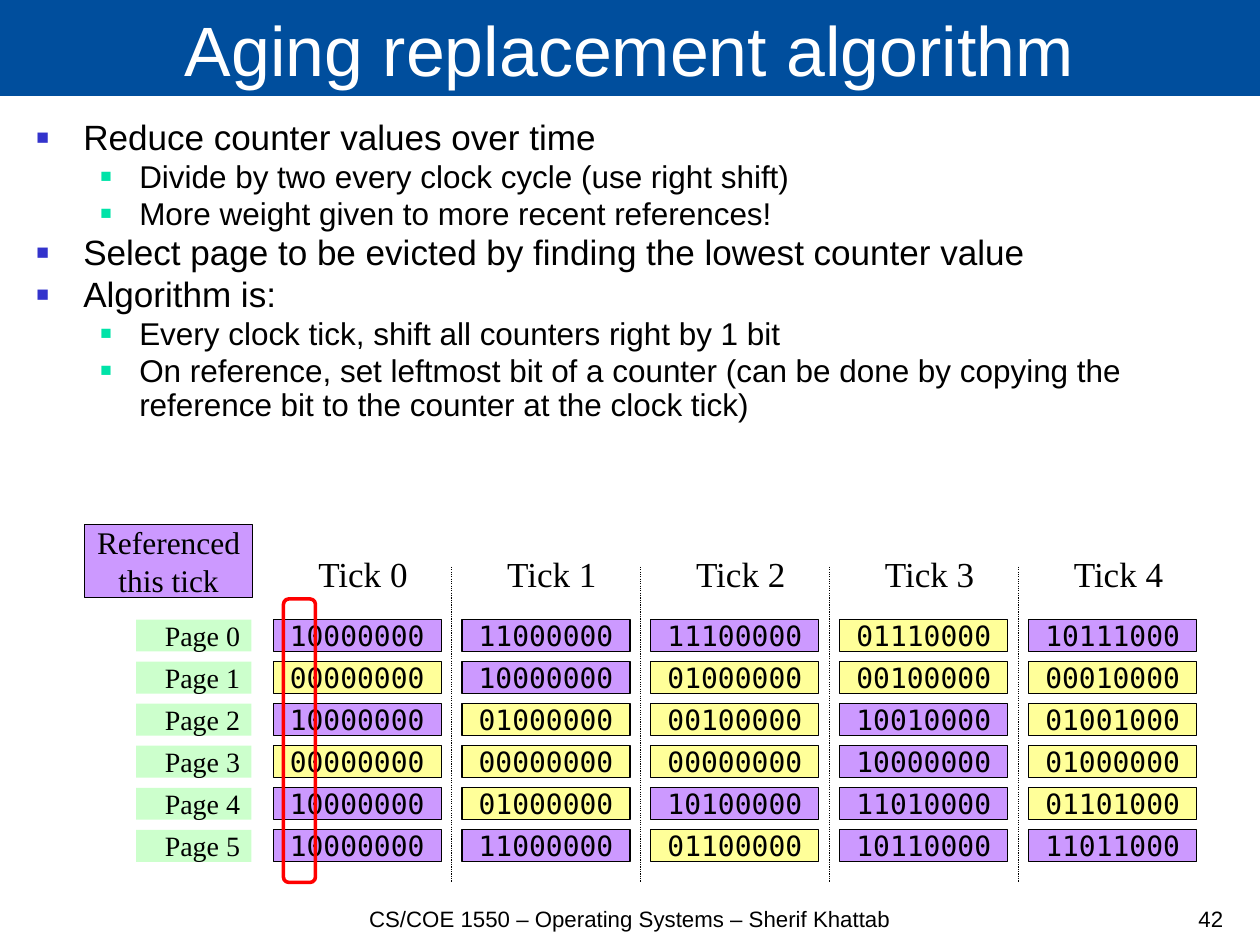
from dataclasses import dataclass

from lxml import etree
from pptx import Presentation
from pptx import util as u
from pptx.dml.color import RGBColor
from pptx.enum import dml, shapes, text
from pptx.oxml import ns
from pptx.shapes import autoshape, shapetree

COLORS = {
    "title_bar": "004E9D",
    "white": "FFFFFF",
    "black": "000000",
    "referenced": "CC99FF",
    "unreferenced": "FFFF99",
    "page": "CCFFCC",
    "marker": "FF0000",
    "bullet": "3333CC",
    "sub_bullet": "00E3A8",
}
SANS, SERIF, MONO = "Arial", "Times New Roman", "DejaVu Sans Mono"
ALIGN, ANCHOR = text.PP_ALIGN, text.MSO_ANCHOR

CM_PER_INCH = 2.54
SLIDE_WIDTH, SLIDE_HEIGHT = 28 / CM_PER_INCH, 21 / CM_PER_INCH
COUNTER_LEFT, COUNTER_WIDTH = 2.39, 1.47
TICK_PITCH = (9 - COUNTER_LEFT) / 4
ROW_TOP, ROW_HEIGHT = 5.42, 0.28
ROW_PITCH = (7.26 - ROW_TOP) / 5


@dataclass(frozen=True)
class Box:
    left: float
    top: float
    width: float
    height: float

    def lengths(self) -> tuple[u.Length, ...]:
        return tuple(u.Inches(n) for n in (self.left, self.top, self.width, self.height))


@dataclass(frozen=True)
class TextStyle:
    font: str
    size: float
    align: ALIGN = ALIGN.CENTER
    anchor: ANCHOR = ANCHOR.MIDDLE
    color: str = "black"
    wrap: bool = False


@dataclass(frozen=True)
class BulletLevel:
    indent: float
    hanging: float
    size: float
    color: str


@dataclass(frozen=True)
class Tick:
    counters: tuple[str, ...]
    referenced: frozenset[int]


TITLE = TextStyle(SANS, 44, anchor=ANCHOR.BOTTOM, color="white", wrap=True)
FOOTER = TextStyle(SANS, 14, anchor=ANCHOR.BOTTOM, wrap=True)
PAGE_NUMBER = TextStyle(SANS, 14, ALIGN.RIGHT, ANCHOR.BOTTOM, wrap=True)
COUNTER = TextStyle(MONO, 17.6)
TICK_LABEL = TextStyle(SERIF, 22.1, anchor=ANCHOR.TOP)
LEGEND = TextStyle(SERIF, 19.8)
PAGE_LABEL = TextStyle(SERIF, 17.6, ALIGN.RIGHT)

LEVELS = (
    BulletLevel(0.41, 0.41, 22.1, "bullet"),
    BulletLevel(0.9, 0.34, 19.8, "sub_bullet"),
)
BULLETS = (
    (0, "Reduce counter values over time"),
    (1, "Divide by two every clock cycle (use right shift)"),
    (1, "More weight given to more recent references!"),
    (0, "Select page to be evicted by finding the lowest counter value"),
    (0, "Algorithm is:"),
    (1, "Every clock tick, shift all counters right by 1 bit"),
    (1, "On reference, set leftmost bit of a counter (can be done by copying the "
        "reference bit to the counter at the clock tick)"),
)
TICKS = (
    Tick(("10000000", "00000000", "10000000", "00000000", "10000000", "10000000"),
         frozenset({0, 2, 4, 5})),
    Tick(("11000000", "10000000", "01000000", "00000000", "01000000", "11000000"),
         frozenset({0, 1, 5})),
    Tick(("11100000", "01000000", "00100000", "00000000", "10100000", "01100000"),
         frozenset({0, 4})),
    Tick(("01110000", "00100000", "10010000", "10000000", "11010000", "10110000"),
         frozenset({2, 3, 4, 5})),
    Tick(("10111000", "00010000", "01001000", "01000000", "01101000", "11011000"),
         frozenset({0, 5})),
)


def rgb(name: str) -> RGBColor:
    return RGBColor.from_string(COLORS[name])


def write(shape: autoshape.Shape, words: str, style: TextStyle) -> None:
    frame = shape.text_frame
    frame.word_wrap = style.wrap
    frame.vertical_anchor = style.anchor
    paragraph = frame.paragraphs[0]
    paragraph.alignment = style.align
    for number, line in enumerate(words.split("\n")):
        if number:
            paragraph.add_line_break()
        run = paragraph.add_run()
        run.text = line
        run.font.name = style.font
        run.font.size = u.Pt(style.size)
        run.font.color.rgb = rgb(style.color)


def add_label(tree: shapetree._BaseGroupShapes, box: Box, words: str, style: TextStyle) -> None:
    write(tree.add_textbox(*box.lengths()), words, style)


def add_box(tree: shapetree._BaseGroupShapes, box: Box, fill: str, words: str,
            style: TextStyle, outlined: bool = True) -> None:
    shape = tree.add_shape(shapes.MSO_SHAPE.RECTANGLE, *box.lengths())
    shape.shadow.inherit = False
    shape.fill.solid()
    shape.fill.fore_color.rgb = rgb(fill)
    if outlined:
        shape.line.color.rgb = rgb("black")
        shape.line.width = u.Pt(0.75)
    else:
        shape.line.fill.background()
    write(shape, words, style)


def add_divider(tree: shapetree._BaseGroupShapes, x: float) -> None:
    line = tree.add_connector(shapes.MSO_CONNECTOR.STRAIGHT, u.Inches(x), u.Inches(4.96),
                              u.Inches(x), u.Inches(7.72))
    line.line.color.rgb = rgb("black")
    line.line.width = u.Pt(0.75)
    line.line.dash_style = dml.MSO_LINE.ROUND_DOT
    etree.SubElement(line._element.spPr, ns.qn("a:effectLst"))


def add_bullets(tree: shapetree._BaseGroupShapes) -> None:
    frame = tree.add_textbox(*Box(0.22, 1, 10.58, 6.72).lengths()).text_frame
    frame.word_wrap = True
    for number, (depth, words) in enumerate(BULLETS):
        level = LEVELS[depth]
        paragraph = frame.add_paragraph() if number else frame.paragraphs[0]
        paragraph.level = depth
        paragraph.line_spacing = 0.9
        properties = paragraph._p.get_or_add_pPr()
        properties.set("marL", str(u.Inches(level.indent)))
        properties.set("indent", str(-u.Inches(level.hanging)))
        if number:
            space_before = etree.SubElement(properties, ns.qn("a:spcBef"))
            etree.SubElement(space_before, ns.qn("a:spcPct"), val="10000")
        color = etree.SubElement(properties, ns.qn("a:buClr"))
        etree.SubElement(color, ns.qn("a:srgbClr"), val=COLORS[level.color])
        etree.SubElement(properties, ns.qn("a:buSzPct"), val="60000")
        etree.SubElement(properties, ns.qn("a:buFont"), typeface=SANS)
        etree.SubElement(properties, ns.qn("a:buChar"), char="■")
        run = paragraph.add_run()
        run.text = words
        run.font.name = SANS
        run.font.size = u.Pt(level.size)
        run.font.color.rgb = rgb("black")


def add_tick(tree: shapetree._BaseGroupShapes, number: int, tick: Tick) -> None:
    left = COUNTER_LEFT + number * TICK_PITCH
    for row, counter in enumerate(tick.counters):
        fill = "referenced" if row in tick.referenced else "unreferenced"
        box = Box(left, ROW_TOP + row * ROW_PITCH, COUNTER_WIDTH, ROW_HEIGHT)
        add_box(tree, box, fill, counter, COUNTER)
    if number:
        add_divider(tree, left - 0.09)
    add_label(tree, Box(left + 0.29, 4.78, 0.99, 0.47), f"Tick {number}", TICK_LABEL)


def add_leftmost_bit_marker(tree: shapetree._BaseGroupShapes) -> None:
    marker = tree.add_shape(shapes.MSO_SHAPE.ROUNDED_RECTANGLE,
                            *Box(2.48, 5.24, 0.28, 2.48).lengths())
    marker.shadow.inherit = False
    marker.fill.background()
    marker.line.color.rgb = rgb("marker")
    marker.line.width = u.Pt(2.25)


def main() -> None:
    presentation = Presentation()
    presentation.slide_width = u.Inches(SLIDE_WIDTH)
    presentation.slide_height = u.Inches(SLIDE_HEIGHT)
    slide = presentation.slides.add_slide(presentation.slide_layouts[6])
    tree = slide.shapes

    add_box(tree, Box(0, -0.01, SLIDE_WIDTH, 0.85), "title_bar", "Aging replacement algorithm",
            TITLE, outlined=False)
    add_bullets(tree)
    add_label(tree, Box(2.25, 7.9, 6.52, 0.3),
              "CS/COE 1550 – Operating Systems – Sherif Khattab", FOOTER)
    add_label(tree, Box(10.34, 7.9, 0.46, 0.3), "42", PAGE_NUMBER)
    for number, tick in enumerate(TICKS):
        add_tick(tree.add_group_shape().shapes if number else tree, number, tick)
    add_leftmost_bit_marker(tree)
    add_box(tree, Box(0.74, 4.59, 1.47, 0.64), "referenced", "Referenced\nthis tick", LEGEND)
    for row in range(len(TICKS[0].counters)):
        add_box(tree, Box(1.19, ROW_TOP + row * ROW_PITCH, 1.01, ROW_HEIGHT), "page",
                f"Page {row}", PAGE_LABEL, outlined=False)
    presentation.save("out.pptx")


if __name__ == "__main__":
    main()
